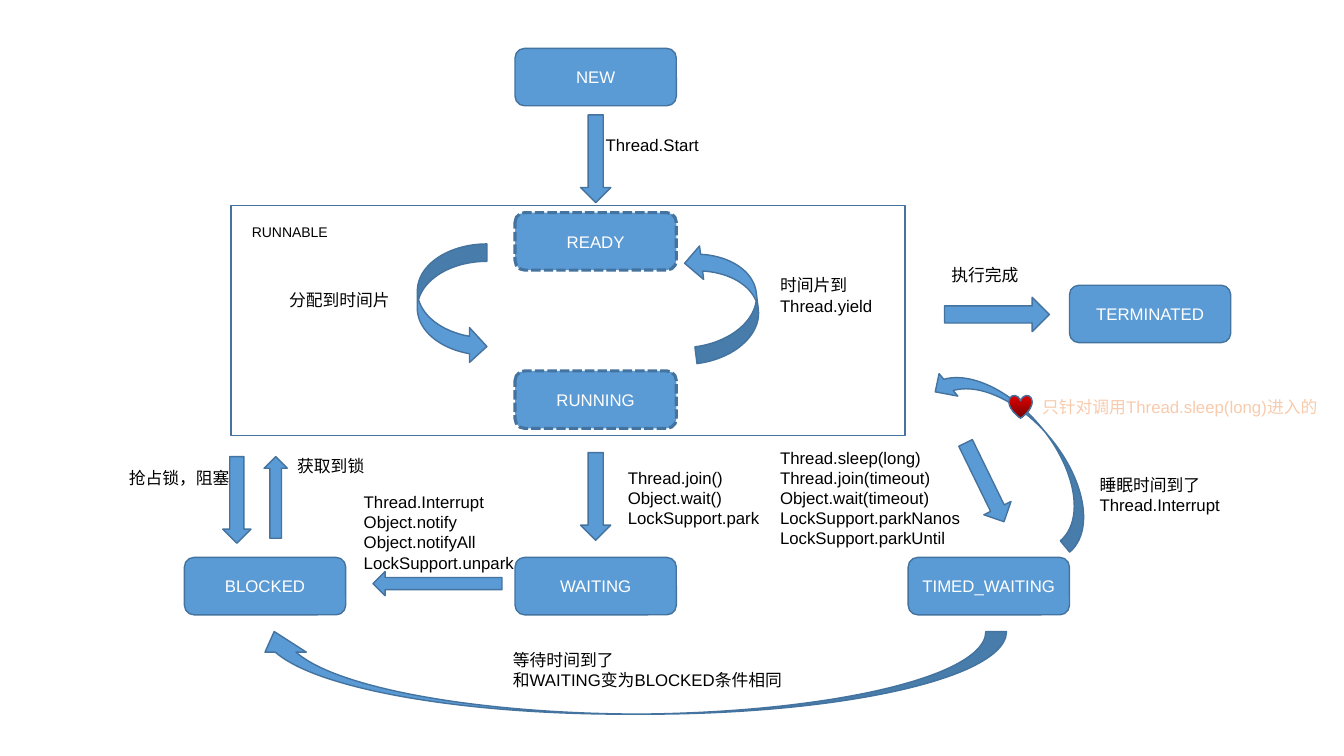
from dataclasses import dataclass

from pptx import Presentation
from pptx.dml.color import RGBColor
from pptx.enum.dml import MSO_LINE
from pptx.enum.shapes import MSO_SHAPE
from pptx.enum.text import MSO_ANCHOR, MSO_AUTO_SIZE, PP_ALIGN
from pptx.shapes.autoshape import Shape
from pptx.slide import Slide
from pptx.util import Inches, Length, Pt


@dataclass(frozen=True)
class Theme:
    font: str = "Arial"
    fill: str = "5B9BD5"
    outline: str = "43739E"
    node_text: str = "FFFFFF"
    label_text: str = "000000"
    note_text: str = "F8CBAD"
    heart_top: str = "E30000"
    heart_bottom: str = "760303"
    body_size: float = 12
    frame_size: float = 10
    thin_line: float = 1
    dashed_line: float = 2.25


@dataclass(frozen=True)
class Area:
    column: float
    row: float
    columns: float
    rows: float


@dataclass(frozen=True)
class State:
    name: str
    column: float
    row: float
    dashed: bool = False


@dataclass(frozen=True)
class Arrow:
    kind: MSO_SHAPE
    area: Area
    rotation: float = 0


@dataclass(frozen=True)
class Label:
    lines: tuple[str, ...]
    area: Area
    color: str
    size: float
    wrap: bool = False


THEME = Theme()
CELL = Inches(0.1)
SLIDE_COLUMNS, SLIDE_ROWS = 133.33, 75
STATE_COLUMNS, STATE_ROWS = 16, 5.7
MIDDLE_COLUMN, BOTTOM_ROW = 51.1, 55.3
FRAME = Area(22.9, 20.4, 66.9, 22.8)
HEART = Area(100.1, 39.2, 2.3, 2.3)

STATES = [
    State("NEW", MIDDLE_COLUMN, 4.8),
    State("BLOCKED", 18.3, BOTTOM_ROW),
    State("WAITING", MIDDLE_COLUMN, BOTTOM_ROW),
    State("TIMED_WAITING", 90.1, BOTTOM_ROW),
    State("TERMINATED", 106.1, 28.3),
    State("READY", MIDDLE_COLUMN, 21.1, True),
    State("RUNNING", MIDDLE_COLUMN, 36.8, True),
]

ARROWS = [
    Arrow(MSO_SHAPE.DOWN_ARROW, Area(57.6, 11.4, 3, 8.7)),
    Arrow(MSO_SHAPE.CURVED_RIGHT_ARROW, Area(41.4, 24.2, 6.9, 11.9)),
    Arrow(MSO_SHAPE.CURVED_RIGHT_ARROW, Area(68.4, 24, 6.7, 11.7), 173),
    Arrow(MSO_SHAPE.DOWN_ARROW, Area(57.6, 44.9, 3, 8.7)),
    Arrow(MSO_SHAPE.DOWN_ARROW, Area(96.2, 43.5, 3, 8.7), 334),
    Arrow(MSO_SHAPE.CURVED_LEFT_ARROW, Area(58.4, 29.4, 8.2, 74.7), 90),
    Arrow(MSO_SHAPE.LEFT_ARROW, Area(37, 56.7, 12.8, 2.4)),
    Arrow(MSO_SHAPE.UP_ARROW, Area(26.2, 45.3, 2.3, 8.1)),
    Arrow(MSO_SHAPE.DOWN_ARROW, Area(22.1, 45.3, 2.8, 8.6)),
    Arrow(MSO_SHAPE.RIGHT_ARROW, Area(93.7, 29.5, 10.4, 3.4)),
    Arrow(MSO_SHAPE.CURVED_UP_ARROW, Area(90.1, 41.5, 22.2, 5.8), 230),
]


def label(column: float, row: float, columns: float, *lines: str,
          color: str = THEME.label_text, size: float = THEME.body_size,
          wrap: bool = False) -> Label:
    area = Area(column, row, columns, 1 + len(lines) * size / 6)
    return Label(lines, area, color, size, wrap)


LABELS = [
    label(59.1, 12.9, 12.4, "Thread.Start"),
    label(27.7, 28.3, 12, "分配到时间片"),
    label(76.4, 26.8, 12.4, "时间片到", "Thread.yield"),
    label(24, 21.7, 9.6, "RUNNABLE", size=THEME.frame_size),
    label(61.3, 45.9, 16.6, "Thread.join()", "Object.wait()", "LockSupport.park"),
    label(76.4, 43.9, 21.9, "Thread.sleep(long)", "Thread.join(timeout)",
          "Object.wait(timeout)", "LockSupport.parkNanos", "LockSupport.parkUntil"),
    label(35.1, 48.3, 18.8, "Thread.Interrupt", "Object.notify",
          "Object.notifyAll", "LockSupport.unpark"),
    label(49.9, 64, 28.8, "等待时间到了", "和WAITING变为BLOCKED条件相同", wrap=True),
    label(28.5, 44.7, 8.7, "获取到锁"),
    label(11.8, 45.9, 12, "抢占锁，阻塞"),
    label(93.4, 25.8, 8.7, "执行完成"),
    label(108.1, 46.6, 15.7, "睡眠时间到了", "Thread.Interrupt"),
    label(102.4, 38.9, 31, "只针对调用Thread.sleep(long)进入的", color=THEME.note_text),
]


def cells(count: float) -> Length:
    return Length(round(count * CELL))


def bounds(area: Area) -> tuple[Length, Length, Length, Length]:
    return cells(area.column), cells(area.row), cells(area.columns), cells(area.rows)


def write(shape: Shape, lines: tuple[str, ...], color: str, size: float,
          align: PP_ALIGN) -> None:
    frame = shape.text_frame
    frame.text = "\n".join(lines)
    for para in frame.paragraphs:
        para.alignment = align
        para.font.name = THEME.font
        para.font.size = Pt(size)
        para.font.color.rgb = RGBColor.from_string(color)


def draw_shape(page: Slide, kind: MSO_SHAPE, area: Area) -> Shape:
    shape = page.shapes.add_shape(kind, *bounds(area))
    shape.shadow.inherit = False
    shape.fill.solid()
    shape.fill.fore_color.rgb = RGBColor.from_string(THEME.fill)
    shape.line.color.rgb = RGBColor.from_string(THEME.outline)
    shape.line.width = Pt(THEME.thin_line)
    return shape


def draw_state(page: Slide, state: State) -> None:
    area = Area(state.column, state.row, STATE_COLUMNS, STATE_ROWS)
    box = draw_shape(page, MSO_SHAPE.ROUNDED_RECTANGLE, area)
    if state.dashed:
        box.line.width = Pt(THEME.dashed_line)
        box.line.dash_style = MSO_LINE.SQUARE_DOT
    box.text_frame.word_wrap = False
    box.text_frame.vertical_anchor = MSO_ANCHOR.MIDDLE
    write(box, (state.name,), THEME.node_text, THEME.body_size, PP_ALIGN.CENTER)


def draw_arrow(page: Slide, arrow: Arrow) -> None:
    draw_shape(page, arrow.kind, arrow.area).rotation = arrow.rotation


def draw_heart(page: Slide) -> None:
    heart = draw_shape(page, MSO_SHAPE.HEART, HEART)
    heart.fill.gradient()
    heart.fill.gradient_angle = 270
    colors = (THEME.heart_top, THEME.heart_bottom)
    for position, (stop, color) in enumerate(zip(heart.fill.gradient_stops, colors)):
        stop.position = position
        stop.color.rgb = RGBColor.from_string(color)


def draw_label(page: Slide, item: Label) -> None:
    box = page.shapes.add_textbox(*bounds(item.area))
    box.text_frame.word_wrap = item.wrap
    box.text_frame.auto_size = MSO_AUTO_SIZE.SHAPE_TO_FIT_TEXT
    write(box, item.lines, item.color, item.size, PP_ALIGN.LEFT)


def main() -> None:
    deck = Presentation()
    deck.slide_width = cells(SLIDE_COLUMNS)
    deck.slide_height = cells(SLIDE_ROWS)
    page = deck.slides.add_slide(deck.slide_layouts[6])
    draw_shape(page, MSO_SHAPE.RECTANGLE, FRAME).fill.background()
    for state in STATES:
        draw_state(page, state)
    for arrow in ARROWS:
        draw_arrow(page, arrow)
    draw_heart(page)
    for item in LABELS:
        draw_label(page, item)
    deck.save("out.pptx")


if __name__ == "__main__":
    main()
